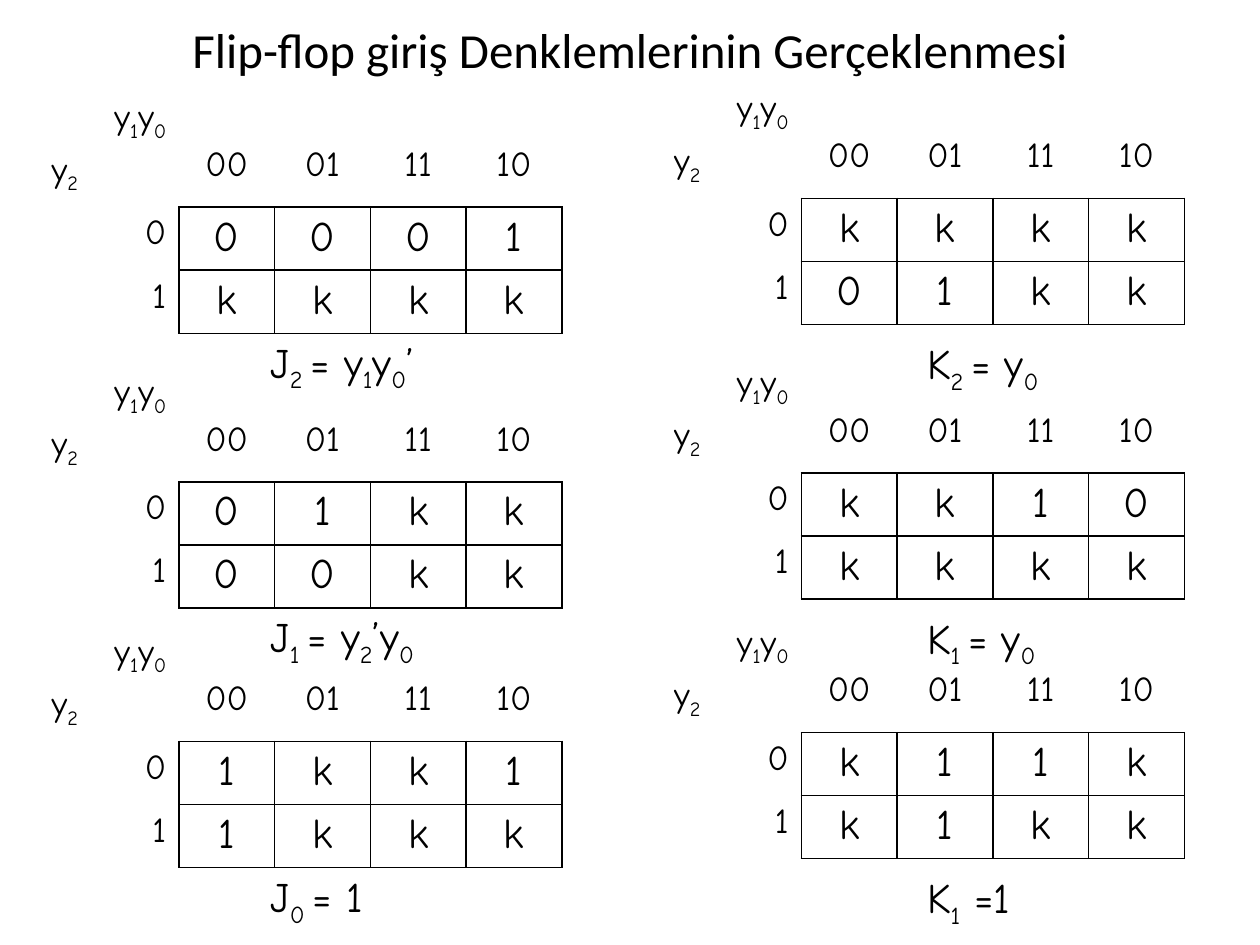
from dataclasses import dataclass

from lxml.etree import SubElement
from pptx import Presentation
from pptx.dml.color import RGBColor
from pptx.enum.text import MSO_ANCHOR as Anchor, PP_ALIGN as Align
from pptx.oxml.ns import qn
from pptx.util import Inches, Pt


@dataclass(frozen=True)
class Theme:
    ink: str = "000000"
    title_font: str = "Calibri"
    body_font: str = "Comic Neue"
    title_size: int = 28
    value_size: int = 24
    label_size: int = 20
    border: int = 1
    plain_table: str = "{2D5ABB26-0587-4C30-8999-92F81FD0307C}"


THEME = Theme()

# Text in braces is subscript.
TITLE = "Flip-flop giriş Denklemlerinin Gerçeklenmesi"
COLUMN_VARIABLES, ROW_VARIABLE = "y{1}y{0}", "y{2}"
COLUMN_CODES = ["00", "01", "11", "10"]
ROW_CODES = ["0", "1"]

# Each line of the slide: (values by row, equation, equation width) for J and K.
MAP_ROWS = [
    [(["0001", "kkkk"], "J{2 }= y{1}y{0}’", 1.59),
     (["kkkk", "01kk"], "K{2 }= y{0}", 1.23)],
    [(["01kk", "00kk"], "J{1 }= y{2}’y{0}", 1.59),
     (["kk10", "kkkk"], "K{1 }= y{0}", 1.19)],
    [(["1kk1", "1kkk"], "J{0 }= 1", 1.09),
     (["k11k", "k1kk"], "K{1} =1", 0.93)],
]

SLIDE_WIDTH, SLIDE_HEIGHT = 10, 7.5
ROW_TOPS = [0.73, 2.91, 4.97]
# Left edge, table shift, equation indent and equation shift of each column.
SIDES = [(0.31, 0, 1.74, 0), (5.25, -0.07, 2.01, 0.01)]
COLUMN_WIDTHS = [1.11] + [0.76] * len(COLUMN_CODES)
ROW_HEIGHTS = [0.69, 0.49, 0.49]
MAP_HEIGHT = 1.83
EQUATION_DROP, EQUATION_HEIGHT = 1.89, 0.5
CODE_MARGIN = 0.42


def write(paragraph, text, *, size, font=THEME.body_font, align=Align.LEFT, before=0):
    """Fill a paragraph, setting the parts in braces as subscript."""
    paragraph.alignment = align
    paragraph.space_before = Pt(before)
    for index, part in enumerate(text.replace("}", "{").split("{")):
        if not part:
            continue
        run = paragraph.add_run()
        run.text = part
        run.font.name = font
        run.font.size = Pt(size)
        run.font.color.rgb = RGBColor.from_string(THEME.ink)
        if index % 2:
            run.font._element.set("baseline", "-25000")


def set_borders(cell, sides):
    properties = cell._tc.get_or_add_tcPr()
    for side in "LRTB":
        width = Pt(THEME.border) if side in sides else 0
        line = SubElement(properties, qn(f"a:ln{side}"), w=str(int(width)))
        if side in sides:
            fill = SubElement(line, qn("a:solidFill"))
            SubElement(fill, qn("a:srgbClr"), val=THEME.ink)
        else:
            SubElement(line, qn("a:noFill"))
    cell.fill.background()


def add_text(slide, text, left, top, width, height, *, wrap=False, **text_format):
    shape = slide.shapes.add_textbox(*map(Inches, (left, top, width, height)))
    shape.text_frame.word_wrap = wrap
    write(shape.text_frame.paragraphs[0], text, **text_format)
    return shape


def fill_cell(cell, row, column, values):
    paragraph = cell.text_frame.paragraphs[0]
    if row and column:
        write(paragraph, values[row - 1][column - 1],
              size=THEME.value_size, align=Align.CENTER)
        borders = "LRTB"
    elif row:
        write(paragraph, ROW_CODES[row - 1], size=THEME.label_size, align=Align.RIGHT)
        borders = "R"
    elif column:
        cell.margin_top = Inches(CODE_MARGIN)
        write(paragraph, COLUMN_CODES[column - 1],
              size=THEME.label_size, align=Align.CENTER)
        borders = "B"
    else:
        write(paragraph, COLUMN_VARIABLES, size=THEME.label_size, align=Align.RIGHT)
        write(cell.text_frame.add_paragraph(), ROW_VARIABLE,
              size=THEME.label_size, before=THEME.label_size / 5)
        borders = ""
    set_borders(cell, borders)


def add_karnaugh_map(slide, values, left, top):
    frame = slide.shapes.add_table(
        len(ROW_HEIGHTS), len(COLUMN_WIDTHS),
        *map(Inches, (left, top, sum(COLUMN_WIDTHS), MAP_HEIGHT)))
    table = frame.table
    table.first_row = table.horz_banding = False
    table._tbl.tblPr.find(qn("a:tableStyleId")).text = THEME.plain_table
    for column, width in zip(table.columns, COLUMN_WIDTHS):
        column.width = Inches(width)
    for row, height in zip(table.rows, ROW_HEIGHTS):
        row.height = Inches(height)
    frame.height = Inches(MAP_HEIGHT)
    for row in range(len(ROW_HEIGHTS)):
        for column in range(len(COLUMN_WIDTHS)):
            fill_cell(table.cell(row, column), row, column, values)


def main():
    presentation = Presentation()
    presentation.slide_width = Inches(SLIDE_WIDTH)
    presentation.slide_height = Inches(SLIDE_HEIGHT)
    slide = presentation.slides.add_slide(presentation.slide_layouts[6])

    title = add_text(slide, TITLE, 0.05 * SLIDE_WIDTH, 0.01, 0.9 * SLIDE_WIDTH,
                     0.1 * SLIDE_HEIGHT, wrap=True, size=THEME.title_size,
                     font=THEME.title_font, align=Align.CENTER)
    frame = title.text_frame
    frame.vertical_anchor = Anchor.MIDDLE
    frame.margin_left = frame.margin_right = frame.margin_top = frame.margin_bottom = 0

    for row_top, maps in zip(ROW_TOPS, MAP_ROWS):
        for side, (values, equation, width) in zip(SIDES, maps):
            left, map_shift, indent, equation_shift = side
            add_karnaugh_map(slide, values, left, row_top + map_shift)
            add_text(slide, equation, left + indent,
                     row_top + EQUATION_DROP + equation_shift,
                     width, EQUATION_HEIGHT, size=THEME.value_size)

    presentation.save("out.pptx")


if __name__ == "__main__":
    main()
